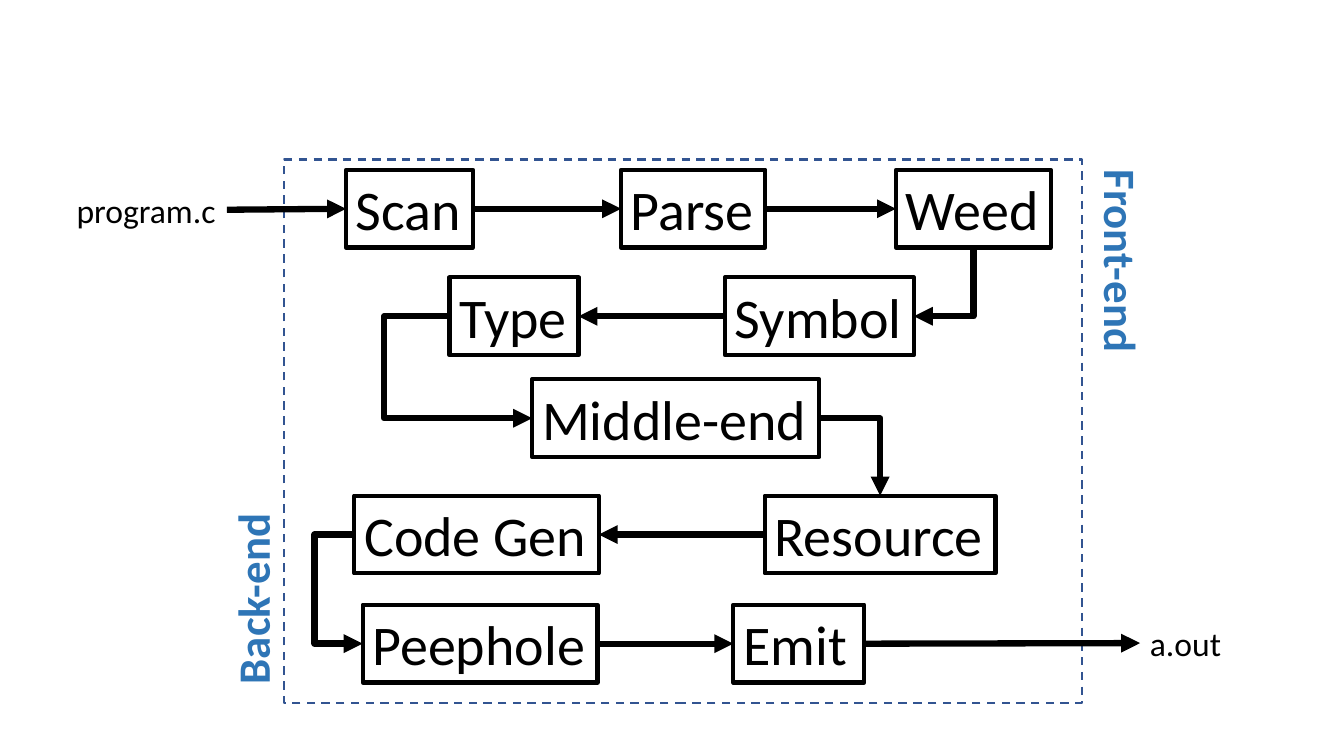
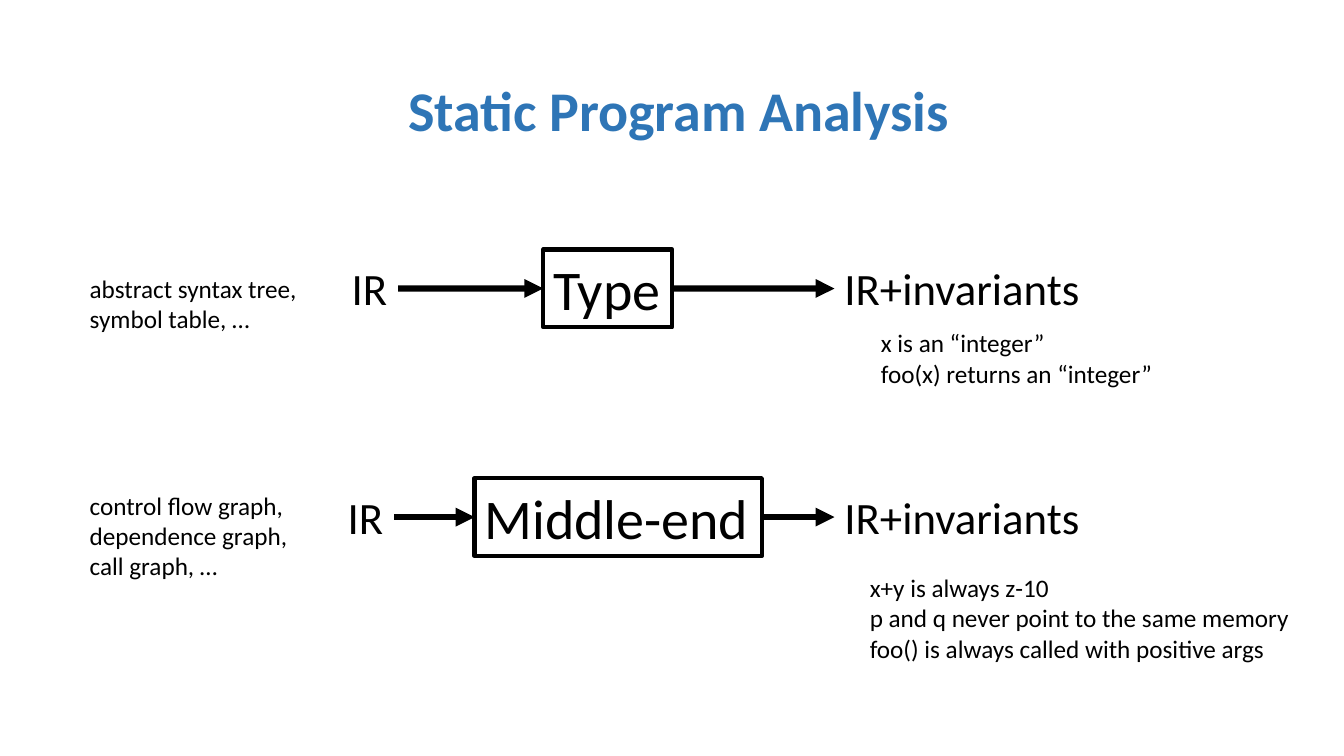
import dataclasses

import pptx
import pptx.dml.color
import pptx.enum.dml
import pptx.enum.shapes
import pptx.enum.text
import pptx.oxml.ns
import pptx.oxml.xmlchemy
import pptx.util

Cm = pptx.util.Cm
Pt = pptx.util.Pt
qn = pptx.oxml.ns.qn


@dataclasses.dataclass(frozen=True)
class Theme:
    font: str = "Calibri"
    ink: str = "000000"
    accent: str = "2E75B6"
    frame: str = "325491"
    stage_size: int = 40
    label_size: int = 32
    file_size: int = 24
    note_size: int = 18
    stage_height: float = 1.96
    label_height: float = 1.63
    file_height: float = 1.27


THEME = Theme()
SITES = {"top": 0, "left": 1, "bottom": 2, "right": 3}


# Text and outlines
def rgb(value):
    return pptx.dml.color.RGBColor.from_string(value)


def write(box, text, size, color=THEME.ink, bold=False, wrap=False):
    frame = box.text_frame
    frame_format = {
        "word_wrap": wrap,
        "auto_size": pptx.enum.text.MSO_AUTO_SIZE.NONE,
        "vertical_anchor": pptx.enum.text.MSO_ANCHOR.TOP,
    }
    for name, value in frame_format.items():
        setattr(frame, name, value)
    frame.text = text
    span_format = {"name": THEME.font, "size": Pt(size), "bold": bold}
    for para in frame.paragraphs:
        para.alignment = pptx.enum.text.PP_ALIGN.LEFT
        for span in para.runs:
            for name, value in span_format.items():
                setattr(span.font, name, value)
            span.font.color.rgb = rgb(color)


def stroke(shape, color, width):
    shape.line.color.rgb = rgb(color)
    shape.line.width = Pt(width)


# Boxes
def add_outline(page, left, top, width, height, color, weight):
    box = page.shapes.add_shape(
        pptx.enum.shapes.MSO_SHAPE.RECTANGLE,
        Cm(left), Cm(top), Cm(width), Cm(height))
    box.shadow.inherit = False
    box.fill.background()
    stroke(box, color, weight)
    return box


def add_stage(page, text, left, top, width):
    box = add_outline(page, left, top, width, THEME.stage_height, THEME.ink, 3)
    write(box, text, THEME.stage_size)
    return box


def add_text(page, text, left, top, width, height, size, **style):
    box = page.shapes.add_textbox(Cm(left), Cm(top), Cm(width), Cm(height))
    write(box, text, size, **style)
    return box


def add_side_label(page, text, left, top, width, rotation):
    box = add_text(page, text, left, top, width, THEME.label_height,
                   THEME.label_size, color=THEME.accent, bold=True)
    box.rotation = rotation


# Arrows
def add_arrow(page, start, end, leave="right", enter="left", elbow=False):
    kinds = pptx.enum.shapes.MSO_CONNECTOR
    arrow = page.shapes.add_connector(
        kinds.ELBOW if elbow else kinds.STRAIGHT, 0, 0, 0, 0)
    arrow.begin_connect(start, SITES[leave])
    arrow.end_connect(end, SITES[enter])
    stroke(arrow, THEME.ink, 4.5)
    line = arrow.get_or_add_ln()
    line.append(line.makeelement(qn("a:tailEnd"), {"type": "triangle"}))
    properties = arrow.element.spPr
    properties.append(properties.makeelement(qn("a:effectLst"), {}))
    return arrow


def add_loop_arrow(page, start, end, turn):
    """Leave and enter on the left, turning at the given distance."""
    arrow = add_arrow(page, start, end, "left", "left", elbow=True)
    share = (Cm(turn) - arrow.begin_x) / (arrow.end_x - arrow.begin_x)
    guides = arrow.element.spPr.find(qn("a:prstGeom")).get_or_add_avLst()
    guides.append(guides.makeelement(
        qn("a:gd"), {"name": "adj1", "fmla": f"val {round(share * 100000)}"}))


def add_corner_arrow(page, start, end, leave, enter):
    """Turn once, to the right-hand side of the direction of travel."""
    arrow = add_arrow(page, start, end, leave, enter, elbow=True)
    properties = arrow.element.spPr
    properties.find(qn("a:prstGeom")).set("prst", "bentConnector2")
    if leave == "bottom":
        center_x = arrow.left + arrow.width // 2
        center_y = arrow.top + arrow.height // 2
        width, height = arrow.height, arrow.width
        place = {"left": center_x - width // 2, "top": center_y - height // 2,
                 "width": width, "height": height}
        for name, value in place.items():
            setattr(arrow, name, value)
        turn = properties.find(qn("a:xfrm"))
        turn.set("rot", str(90 * 60000))
        turn.set("flipH", "0")


# Slides
def add_pipeline_slide(deck):
    page = deck.slides.add_slide(deck.slide_layouts.get_by_name("Blank"))
    add_outline(page, 7.16, 4.02, 20.11, 13.69, THEME.frame, 1.5).line.dash_style = (
        pptx.enum.dml.MSO_LINE.DASH)

    rows = [
        (4.28, [("Scan", 8.72, 3.2), ("Parse", 15.65, 3.64), ("Weed", 22.58, 3.9)]),
        (6.99, [("Type", 11.33, 3.25), ("Symbol", 18.27, 4.76)]),
        (9.56, [("Middle-end", 13.41, 7.24)]),
        (12.49, [("Code Gen", 8.93, 6.16), ("Resource", 19.27, 5.82)]),
        (15.24, [("Peephole", 9.14, 5.92), ("Emit", 18.48, 3.3)]),
    ]
    stages = {text: add_stage(page, text, left, top, width)
              for top, row in rows for text, left, width in row}
    for text, left, top, width in [("program.c", 1.68, 4.65, 4.04),
                                   ("a.out", 28.73, 15.57, 2.31)]:
        stages[text] = add_text(page, text, left, top, width,
                                THEME.file_height, THEME.file_size)

    for start, end in [("program.c", "Scan"), ("Scan", "Parse"), ("Parse", "Weed"),
                       ("Peephole", "Emit"), ("Emit", "a.out")]:
        add_arrow(page, stages[start], stages[end])
    for start, end in [("Symbol", "Type"), ("Resource", "Code Gen")]:
        add_arrow(page, stages[start], stages[end], "left", "right")
    for start, end, turn in [("Type", "Middle-end", 9.68),
                             ("Code Gen", "Peephole", 7.93)]:
        add_loop_arrow(page, stages[start], stages[end], turn)
    add_corner_arrow(page, stages["Weed"], stages["Symbol"], "bottom", "right")
    add_corner_arrow(page, stages["Middle-end"], stages["Resource"], "right", "top")

    add_side_label(page, "Front-end", 25.68, 5.79, 5.16, 90)
    add_side_label(page, "Back-end", 3.94, 14.25, 4.85, 270)


def add_analysis_row(page, middle, stage, stage_left, stage_width, source_left):
    label_top = middle - THEME.label_height / 2
    source, result = [
        add_text(page, text, left, label_top, width,
                 THEME.label_height, THEME.label_size)
        for text, left, width in [("IR", source_left, 1.42),
                                  ("IR+invariants", 21.03, 6.5)]]
    box = add_stage(page, stage, stage_left, middle - THEME.stage_height / 2,
                    stage_width)
    add_arrow(page, source, box)
    add_arrow(page, box, result)


def add_analysis_slide(deck):
    page = deck.slides.add_slide(deck.slide_layouts.get_by_name("Title Only"))
    title = page.shapes.title
    place = {"left": 10.03, "top": 1.78, "width": 14.63, "height": 1.96}
    for name, value in place.items():
        setattr(title, name, Cm(value))
    write(title, "Static Program Analysis", THEME.stage_size,
          color=THEME.accent, bold=True, wrap=True)

    add_analysis_row(page, 7.27, "Type", 13.69, 3.25, 8.61)
    add_analysis_row(page, 13.03, "Middle-end", 11.96, 7.24, 8.51)

    notes = [
        (2.01, 6.76, 5.92, ["abstract syntax tree,", "symbol table, …"]),
        (2.01, 12.22, 5.72, ["control flow graph,", "dependence graph,",
                             "call graph, …"]),
        (21.95, 8.13, 7.39, ["x is an “integer”", "foo(x) returns an “integer”"]),
        (21.67, 14.3, 11.2, ["x+y is always z-10",
                             "p and q never point to the same memory",
                             "foo() is always called with positive args"]),
    ]
    for left, top, width, lines in notes:
        add_text(page, "\n".join(lines), left, top, width,
                 0.26 + 0.77 * len(lines), THEME.note_size)


def main():
    deck = pptx.Presentation()
    deck.slide_width, deck.slide_height = Cm(33.87), Cm(19.05)
    add_pipeline_slide(deck)
    add_analysis_slide(deck)
    deck.save("out.pptx")


main()
